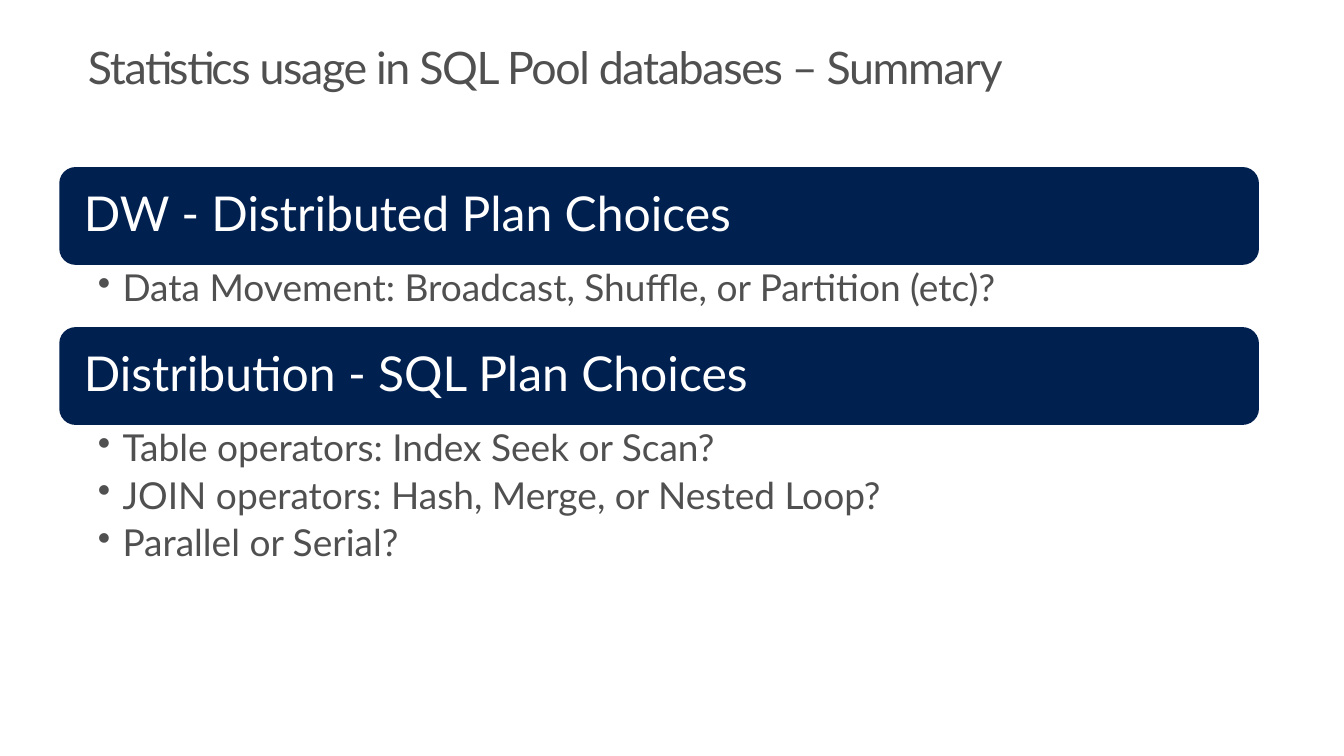
from lxml import etree
from pptx import Presentation
from pptx.dml.color import RGBColor
from pptx.enum.shapes import MSO_SHAPE
from pptx.enum.text import MSO_ANCHOR, PP_ALIGN
from pptx.oxml.ns import qn
from pptx.util import Pt

PX = 9144
ROUNDED = MSO_SHAPE.ROUNDED_RECTANGLE
MIDDLE, TOP = MSO_ANCHOR.MIDDLE, MSO_ANCHOR.TOP
LEFT = PP_ALIGN.LEFT
COLORS = {"navy": "002050", "gray": "505050", "white": "FFFFFF"}
SECTIONS = [
    (169, "DW - Distributed Plan Choices", 63,
     ["Data Movement: Broadcast, Shuffle, or Partition (etc)?"]),
    (331, "Distribution - SQL Plan Choices", 166,
     ["Table operators: Index Seek or Scan?",
      "JOIN operators: Hash, Merge, or Nested Loop?",
      "Parallel or Serial?"]),
]
BAR_LEFT, BAR_WIDTH, BAR_HEIGHT = 60, 1214, 99


class SummarySlide:
    """Holds the text style and the slide, and draws each kind of element."""

    def __init__(self, prs, font):
        self.slide = prs.slides.add_slide(prs.slide_layouts[6])
        self.font = font

    def set_text(self, sp, lines, size, color, insets, anchor=TOP, after=0):
        tf = sp.text_frame
        tf.text = "\n".join(lines)
        tf.word_wrap = True
        tf.vertical_anchor = anchor
        tf.margin_left, tf.margin_top, tf.margin_right, tf.margin_bottom = (
            v * PX for v in insets)
        for p in tf.paragraphs:
            p.alignment = LEFT
            p.line_spacing = 0.9
            p.space_after = Pt(after)
            for r in p.runs:
                r.font.name = self.font
                r.font.size = Pt(size)
                r.font.color.rgb = RGBColor.from_string(COLORS[color])
        return tf

    def textbox(self, x, y, w, h):
        return self.slide.shapes.add_textbox(x * PX, y * PX, w * PX, h * PX)

    def title(self, x, y, w, h, text):
        tf = self.set_text(self.textbox(x, y, w, h), [text], 32.6, "gray",
                           (16, 10, 16, 10))
        r = tf.paragraphs[0].runs[0]
        r._r.get_or_add_rPr().set("spc", "-100")

    def bar(self, x, y, w, h, text):
        sp = self.slide.shapes.add_shape(ROUNDED, x * PX, y * PX, w * PX, h * PX)
        sp.shadow.inherit = False
        sp.fill.solid()
        sp.fill.fore_color.rgb = RGBColor.from_string(COLORS["navy"])
        sp.line.fill.background()
        self.set_text(sp, [text], 35, "white", (20, 15, 20, 15), MIDDLE)

    def bullets(self, x, y, w, h, lines):
        tf = self.set_text(self.textbox(x, y, w, h), lines, 27, "gray",
                           (39, 5, 27, 5), after=5.4)
        for p in tf.paragraphs:
            p.level = 1
            pPr = p._p.get_or_add_pPr()
            pPr.set("marL", str(25 * PX))
            pPr.set("indent", str(-25 * PX))
            etree.SubElement(pPr, qn("a:buChar")).set("char", "•")


def main():
    prs = Presentation()
    prs.slide_width, prs.slide_height = 1360 * PX, 765 * PX
    s = SummarySlide(prs, "Lato")
    s.title(73, 36, 1214, 51, "Statistics usage in SQL Pool databases – Summary")
    for top, heading, height, lines in SECTIONS:
        s.bar(BAR_LEFT, top, BAR_WIDTH, BAR_HEIGHT, heading)
        s.bullets(BAR_LEFT, top + BAR_HEIGHT, BAR_WIDTH, height, lines)
    prs.save("out.pptx")


if __name__ == "__main__":
    main()
